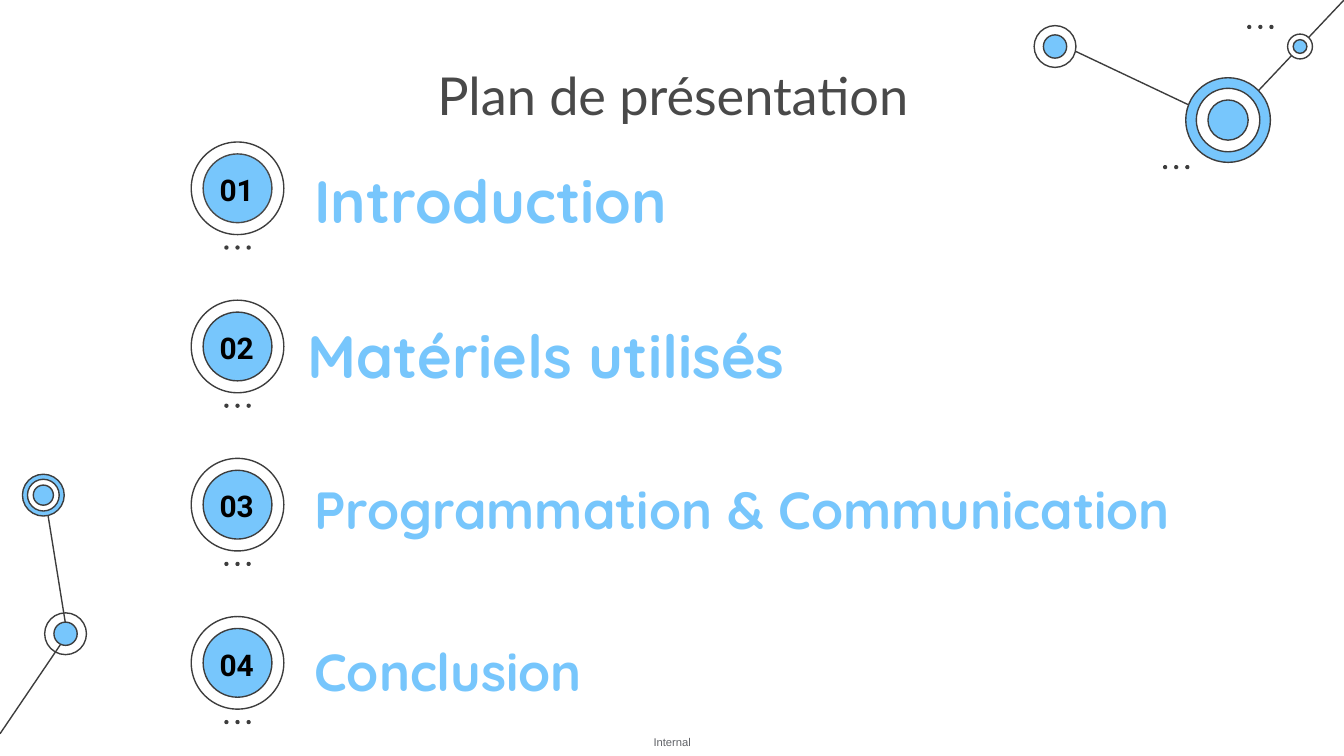
from dataclasses import dataclass
from typing import Optional

import pptx
import pptx.dml.color
import pptx.enum.shapes
import pptx.enum.text
import pptx.oxml
import pptx.oxml.ns
import pptx.util

Cm = pptx.util.Cm
Align = pptx.enum.text.PP_ALIGN
Anchor = pptx.enum.text.MSO_ANCHOR


@dataclass(frozen=True)
class Theme:
    blue: str = "77C6FC"
    white: str = "FFFFFF"
    ink: str = "3D3D3D"
    slate: str = "494949"
    grey: str = "626469"
    black: str = "000000"
    line: float = 0.75
    title: int = 28
    large: int = 32
    medium: int = 28
    badge: int = 16
    note: int = 6


THEME = Theme()


@dataclass(frozen=True)
class Ring:
    size: float
    fill: Optional[str]


@dataclass(frozen=True)
class Node:
    x: float
    y: float
    rings: tuple[Ring, ...]


@dataclass(frozen=True)
class Link:
    x1: float
    y1: float
    x2: float
    y2: float


@dataclass(frozen=True)
class Box:
    left: float
    top: float
    width: float
    height: float
    inset: float = 0.25


@dataclass(frozen=True)
class Style:
    font: str
    size: int
    color: str
    bold: bool = False
    align: Align = Align.LEFT
    anchor: Anchor = Anchor.TOP
    space: float = 1.0
    indent: float = 0.0


@dataclass(frozen=True)
class Item:
    text: str
    box: Box
    size: int
    space: float = 1.15
    indent: float = 0.0
    edge: str = THEME.ink


def rgb(code: str) -> pptx.dml.color.RGBColor:
    return pptx.dml.color.RGBColor.from_string(code)


def disc(slide, x: float, y: float, size: float, fill: Optional[str],
         edge: Optional[str] = None) -> None:
    """Draw a circle around its centre."""
    shape = slide.shapes.add_shape(
        pptx.enum.shapes.MSO_SHAPE.OVAL,
        Cm(x - size / 2), Cm(y - size / 2), Cm(size), Cm(size))
    shape.shadow.inherit = False
    if fill:
        shape.fill.solid()
        shape.fill.fore_color.rgb = rgb(fill)
    else:
        shape.fill.background()
    if edge:
        shape.line.color.rgb = rgb(edge)
        shape.line.width = pptx.util.Pt(THEME.line)
    else:
        shape.line.fill.background()


def dots(slide, x: float, y: float) -> None:
    for step in (-1, 0, 1):
        disc(slide, x + step * 0.21, y, 0.08, THEME.ink)


def node(slide, spot: Node) -> None:
    for ring in spot.rings:
        disc(slide, spot.x, spot.y, ring.size, ring.fill, THEME.ink)


def link(slide, ends: Link) -> None:
    line = slide.shapes.add_connector(
        pptx.enum.shapes.MSO_CONNECTOR.STRAIGHT,
        Cm(ends.x1), Cm(ends.y1), Cm(ends.x2), Cm(ends.y2))
    line.line.color.rgb = rgb(THEME.ink)
    line.line.width = pptx.util.Pt(THEME.line)
    props = line._element.spPr
    props.append(pptx.oxml.parse_xml(
        f'<a:effectLst {pptx.oxml.ns.nsdecls("a")}/>'))


def label(slide, text: str, box: Box, style: Style) -> None:
    shape = slide.shapes.add_textbox(
        Cm(box.left), Cm(box.top), Cm(box.width), Cm(box.height))
    frame = shape.text_frame
    frame.text = text
    frame.word_wrap = True
    frame.vertical_anchor = style.anchor
    frame.margin_left = frame.margin_right = Cm(box.inset)
    frame.margin_top = frame.margin_bottom = Cm(box.inset)
    para = frame.paragraphs[0]
    para.alignment = style.align
    para.line_spacing = style.space
    if style.indent:
        para._p.get_or_add_pPr().set("marL", str(Cm(style.indent)))
    font = para.runs[0].font
    font.name = style.font
    font.size = pptx.util.Pt(style.size)
    font.bold = style.bold
    font.color.rgb = rgb(style.color)


LINKS = (
    Link(1.27, 11.99, 0.84, 9.32),
    Link(0, 13.87, 1.24, 12.04),
    Link(23.22, 2.34, 19.99, 0.81),
    Link(25.4, 0, 23.22, 2.31),
)
BLUE, WHITE = THEME.blue, THEME.white
NODES = (
    Node(1.24, 11.98, (Ring(0.79, None), Ring(0.44, BLUE))),
    Node(0.82, 9.36, (Ring(0.79, BLUE), Ring(0.6, WHITE), Ring(0.38, BLUE))),
    Node(23.21, 2.27, (Ring(1.6, BLUE), Ring(1.2, WHITE), Ring(0.76, BLUE))),
    Node(19.94, 0.88, (Ring(0.79, WHITE), Ring(0.44, BLUE))),
    Node(24.57, 0.88, (Ring(0.47, WHITE), Ring(0.26, BLUE))),
)
ITEMS = (
    Item("Introduction", Box(5.69, 2.64, 7.26, 1.07), THEME.large,
         edge=THEME.slate),
    Item("Matériels utilisés", Box(5.13, 5.77, 10.31, 1.07), THEME.large,
         space=1.0, indent=0.43),
    Item("Programmation & Communication", Box(5.69, 8.59, 17.42, 1.07),
         THEME.medium),
    Item("Conclusion", Box(5.69, 11.66, 7.26, 1.07), THEME.medium),
)


def main() -> None:
    deck = pptx.Presentation()
    deck.slide_width, deck.slide_height = Cm(25.4), Cm(14.29)
    slide = deck.slides.add_slide(deck.slide_layouts[6])

    # Footer and corner networks
    label(slide, "Internal", Box(12.07, 13.77, 1.27, 0.51, 0),
          Style("Arial", THEME.note, THEME.grey, align=Align.CENTER,
                anchor=Anchor.MIDDLE))
    for ends in LINKS:
        link(slide, ends)
    for spot in NODES:
        node(slide, spot)
    dots(slide, 23.82, 0.51)
    dots(slide, 22.23, 3.16)

    # Title
    label(slide, "Plan de présentation", Box(7.04, 0.94, 11.35, 1.6),
          Style("Lato", THEME.title, THEME.slate, align=Align.CENTER))

    # Numbered agenda
    badge = Style("Roboto", THEME.badge, THEME.black, True, Align.CENTER,
                  Anchor.MIDDLE)
    x, top, step = 4.49, 3.56, 2.99
    for row, item in enumerate(ITEMS):
        y = top + row * step
        disc(slide, x, y, 1.75, WHITE, THEME.ink)
        disc(slide, x, y, 1.3, BLUE, item.edge)
        dots(slide, x, y + 1.12)
        label(slide, f"{row + 1:02}", Box(x - 0.65, y - 0.46, 1.27, 0.97),
              badge)
        label(slide, item.text, item.box,
              Style("Quicksand", item.size, BLUE, True, space=item.space,
                    indent=item.indent))

    deck.save("out.pptx")


if __name__ == "__main__":
    main()
